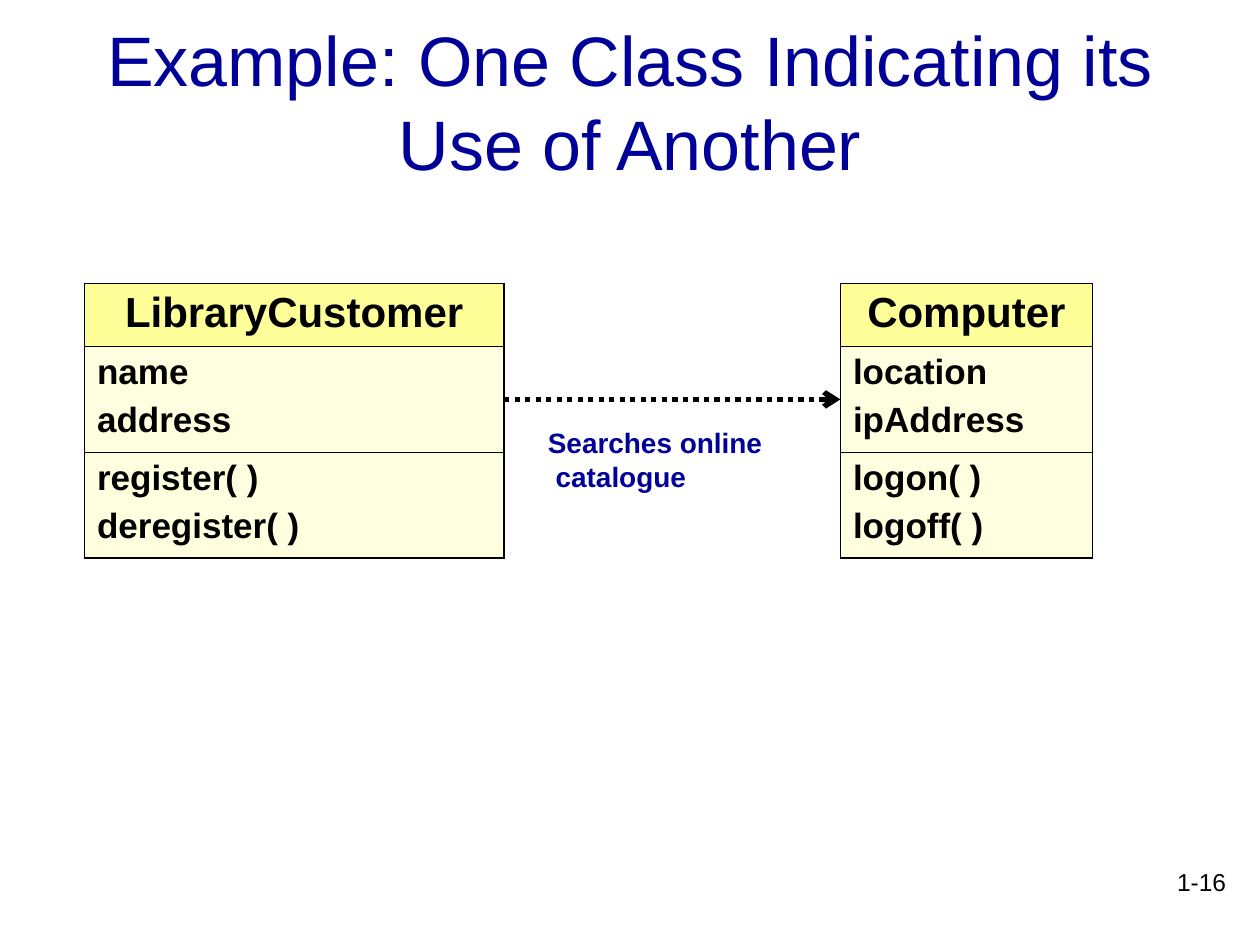
"""Build a UML slide in which one class uses another."""
from lxml import etree
from pptx import Presentation
from pptx import util as u
from pptx.dml.color import RGBColor
from pptx.enum import dml, shapes, text
from pptx.oxml import ns

NAVY, BLACK = "000099", "000000"
LEFT, CENTER, RIGHT = text.PP_ALIGN.LEFT, text.PP_ALIGN.CENTER, text.PP_ALIGN.RIGHT


def rgb(value):
    return RGBColor.from_string(value)


def write(frame, content, size, color=BLACK, bold=False, align=LEFT, gap=0,
          anchor=text.MSO_ANCHOR.TOP):
    frame.word_wrap = True
    frame.vertical_anchor = anchor
    for i, line in enumerate(content.split("\n")):
        paragraph = frame.paragraphs[0] if i == 0 else frame.add_paragraph()
        paragraph.alignment = align
        paragraph.space_before = u.Pt(gap if i else 0)
        run = paragraph.add_run()
        run.text = line
        run.font.name = "Arial"
        run.font.size = u.Pt(size)
        run.font.bold = bold
        run.font.color.rgb = rgb(color)


deck = Presentation()
deck.slide_width, deck.slide_height = u.Inches(10), u.Inches(7.5)
slide = deck.slides.add_slide(deck.slide_layouts[6])

labels = [
    ((0.75, 0.17, 8.5, 1.25), "Example: One Class Indicating its Use of Another",
     dict(size=40, color=NAVY, align=CENTER, anchor=text.MSO_ANCHOR.MIDDLE)),
    ((4.25, 3.33, 2.08, 0.64), "Searches online\n catalogue",
     dict(size=16, color=NAVY, bold=True)),
    ((7.75, 6.83, 2.08, 0.5), "1-16", dict(size=14, align=RIGHT)),
]
for place, content, style in labels:
    label = slide.shapes.add_textbox(*map(u.Inches, place))
    write(label.text_frame, content, **style)

row_heights = [0.5, 0.84, 0.84]
classes = [
    (0.67, 3.33, ["LibraryCustomer", "name\naddress", "register( )\nderegister( )"]),
    (6.67, 2, ["Computer", "location\nipAddress", "logon( )\nlogoff( )"]),
]
for left, width, sections in classes:
    uml_class = slide.shapes.add_table(
        3, 1, u.Inches(left), u.Inches(2.25), u.Inches(width), u.Inches(sum(row_heights))).table
    uml_class.first_row = uml_class.horz_banding = False
    for row, (height, content) in enumerate(zip(row_heights, sections)):
        uml_class.rows[row].height = u.Inches(height)
        cell = uml_class.cell(row, 0)
        heading = row == 0
        write(cell.text_frame, content, size=24 if heading else 20, bold=True,
              align=CENTER if heading else LEFT, gap=5)
        borders = {"L": 1.08, "R": 1.08, "T": 1.08 if heading else 0.45,
                   "B": 1.08 if row == 2 else 0.45}
        properties = cell._tc.get_or_add_tcPr()
        for side, points in borders.items():
            border = etree.SubElement(properties, ns.qn(f"a:ln{side}"), w=str(u.Pt(points)))
            solid = etree.SubElement(border, ns.qn("a:solidFill"))
            etree.SubElement(solid, ns.qn("a:srgbClr"), val=BLACK)
        cell.fill.solid()
        cell.fill.fore_color.rgb = rgb("FFFF99" if heading else "FFFFDF")

usage = slide.shapes.add_connector(
    shapes.MSO_CONNECTOR.STRAIGHT, u.Inches(4), u.Inches(3.17), u.Inches(6.67), u.Inches(3.17))
usage.line.color.rgb = rgb(BLACK)
usage.line.width = u.Pt(3)
usage.line.dash_style = dml.MSO_LINE.ROUND_DOT
etree.SubElement(usage.line._get_or_add_ln(), ns.qn("a:tailEnd"), type="arrow")
etree.SubElement(usage._element.spPr, ns.qn("a:effectLst"))

deck.save("out.pptx")
